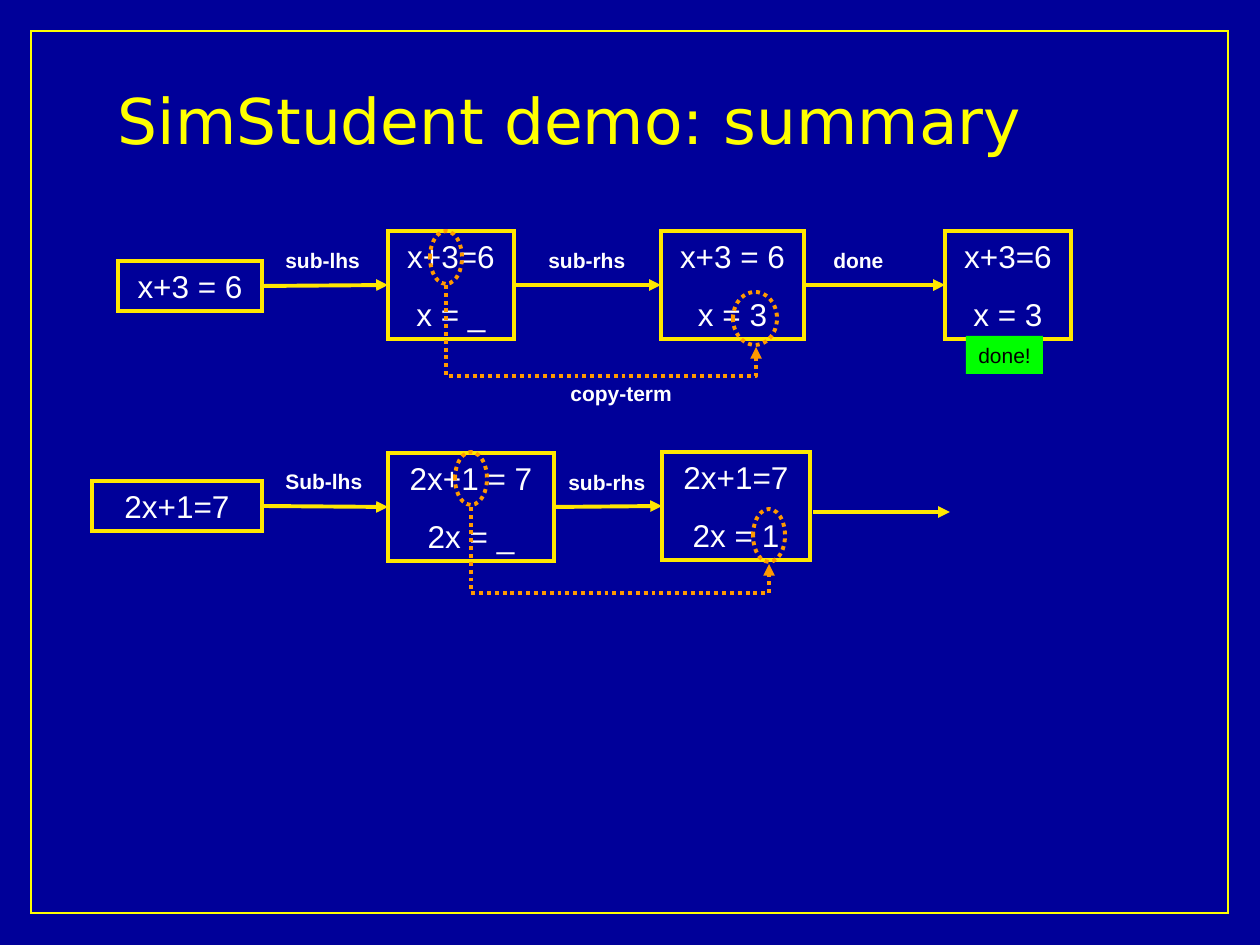
from itertools import pairwise

from pptx import Presentation
from pptx.dml.color import RGBColor
from pptx.enum.dml import MSO_LINE
from pptx.enum.shapes import MSO_CONNECTOR, MSO_SHAPE
from pptx.enum.text import MSO_ANCHOR, MSO_AUTO_SIZE, PP_ALIGN
from pptx.oxml.ns import qn
from pptx.util import Pt
from lxml.etree import SubElement

EMU_PER_PX = 914400 / 126
NAVY = RGBColor(0x00, 0x00, 0x99)
YELLOW = RGBColor(0xFF, 0xFF, 0x00)
GOLD = RGBColor(0xFF, 0xE7, 0x01)
ORANGE = RGBColor(0xFF, 0x99, 0x00)
GREEN = RGBColor(0x00, 0xFF, 0x00)
WHITE = RGBColor(0xFF, 0xFF, 0xFF)
BLACK = RGBColor(0x00, 0x00, 0x00)

ROWS = [
    [(118, 261, 144, 50, "x+3 = 6"),
     (388, 231, 126, 108, "x+3=6\nx = _"),
     (661, 231, 143, 108, "x+3 = 6\nx = 3"),
     (945, 231, 126, 108, "x+3=6\nx = 3")],
    [(92, 481, 170, 50, "2x+1=7"),
     (388, 453, 166, 108, "2x+1 = 7\n2x = _"),
     (662, 452, 148, 108, "2x+1=7\n2x = 1")],
]
LABELS = [
    (273, 241, 100, "sub-lhs"), (536, 241, 102, "sub-rhs"), (821, 241, 76, "done"),
    (273, 462, 102, "Sub-lhs"), (556, 463, 102, "sub-rhs"), (558, 374, 126, "copy-term"),
]
TERMS = [(430, 231, 32, 53), (733, 292, 44, 53), (455, 452, 32, 53), (753, 509, 32, 53)]
COPIES = [((446, 285), (756, 347), 91), ((471, 507), (769, 564), 86)]


def px(*values):
    """Turn pixel lengths into EMU."""
    return [round(v * EMU_PER_PX) for v in values]


def write(tf, text, size=18, color=WHITE, font="Arial", bold=False,
          align=PP_ALIGN.LEFT, before=0, anchor=MSO_ANCHOR.TOP,
          autofit=MSO_AUTO_SIZE.SHAPE_TO_FIT_TEXT):
    """Fill a text frame, one paragraph to each line of text."""
    tf.text = text
    tf.word_wrap = True
    tf.auto_size = autofit
    tf.vertical_anchor = anchor
    for p in tf.paragraphs:
        p.alignment = align
        p.space_before = Pt(before)
        f = p.runs[0].font
        f.name, f.size, f.bold = font, Pt(size), bold
        f.color.rgb = color


def add_outline(s, kind, box, color, width=2.25, dash=None):
    """Add an unfilled preset shape with a sharp-cornered coloured line."""
    sp = s.shapes.add_shape(kind, *px(*box))
    sp.shadow.inherit = False
    sp.fill.background()
    sp.line.color.rgb = color
    sp.line.width = Pt(width)
    sp.line.dash_style = dash
    SubElement(sp.line._get_or_add_ln(), qn("a:miter"), lim="800000")
    return sp


def add_state(s, x, y, w, h, text):
    """Add a framed equation state."""
    sp = add_outline(s, MSO_SHAPE.RECTANGLE, (x, y, w, h), GOLD)
    write(sp.text_frame, text, align=PP_ALIGN.CENTER, before=11.2)
    return sp


def add_label(s, x, y, w, text, color=WHITE, bold=True, fill=None):
    """Add a small one-line label, filled on request."""
    sp = s.shapes.add_textbox(*px(x, y, w, 38))
    if fill is not None:
        sp.fill.solid()
        sp.fill.fore_color.rgb = fill
    sp.text_frame.margin_right = 0
    write(sp.text_frame, text, size=12, color=color, bold=bold)


def add_arrow(s, start, end, color=GOLD, kind=MSO_CONNECTOR.STRAIGHT, dash=None):
    """Add a connector with a triangle at its end."""
    sp = s.shapes.add_connector(kind, *px(*start, *end))
    sp.line.color.rgb = color
    sp.line.width = Pt(2.25)
    sp.line.dash_style = dash
    SubElement(sp.line._get_or_add_ln(), qn("a:tailEnd"), type="triangle")
    SubElement(sp._element.spPr, qn("a:effectLst"))
    return sp


def add_copy_arrow(s, start, end, drop):
    """Add a dotted elbow that drops from start, runs right and rises to end."""
    (x1, y1), (x2, y2) = start, end
    dx, dy = x2 - x1, y2 - y1
    cx, cy = (x1 + x2) / 2, (y1 + y2) / 2
    sp = add_arrow(s, (cx + dy / 2, cy - dx / 2), (cx - dy / 2, cy + dx / 2),
                   ORANGE, MSO_CONNECTOR.ELBOW, MSO_LINE.ROUND_DOT)
    spPr = sp._element.spPr
    spPr.find(qn("a:xfrm")).set("rot", str(270 * 60000))
    guides = spPr.find(qn("a:prstGeom")).get_or_add_avLst()
    SubElement(guides, qn("a:gd"), name="adj1", fmla=f"val {round(drop / dy * 100000)}")


def add_row(s, states):
    """Add a row of states, each joined to the next by an arrow."""
    boxes = [add_state(s, *state) for state in states]
    for left, right in pairwise(boxes):
        sp = add_arrow(s, (0, 0), (0, 0))
        sp.begin_connect(left, 3)
        sp.end_connect(right, 1)


def add_title(s, text):
    """Place and format the title."""
    sp = s.shapes.title
    sp.left, sp.top, sp.width, sp.height = px(105, 61, 1040, 116)
    write(sp.text_frame, text, size=36, color=YELLOW, font="DejaVu Sans",
          anchor=MSO_ANCHOR.MIDDLE, autofit=MSO_AUTO_SIZE.NONE)


def main():
    """Build the slide and save it."""
    prs = Presentation()
    prs.slide_width, prs.slide_height = px(1260, 945)
    s = prs.slides.add_slide(prs.slide_layouts[5])
    s.background.fill.solid()
    s.background.fill.fore_color.rgb = NAVY
    add_outline(s, MSO_SHAPE.RECTANGLE, (31, 31, 1197, 882), YELLOW, width=0.75)
    add_title(s, "SimStudent demo: summary")
    for states in ROWS:
        add_row(s, states)
    add_arrow(s, (813, 512), (950, 512))
    add_label(s, 966, 336, 77, "done!", color=BLACK, bold=False, fill=GREEN)
    for label in LABELS:
        add_label(s, *label)
    for term in TERMS:
        add_outline(s, MSO_SHAPE.OVAL, term, ORANGE, dash=MSO_LINE.ROUND_DOT)
    for copy_step in COPIES:
        add_copy_arrow(s, *copy_step)
    prs.save("out.pptx")


if __name__ == "__main__":
    main()
